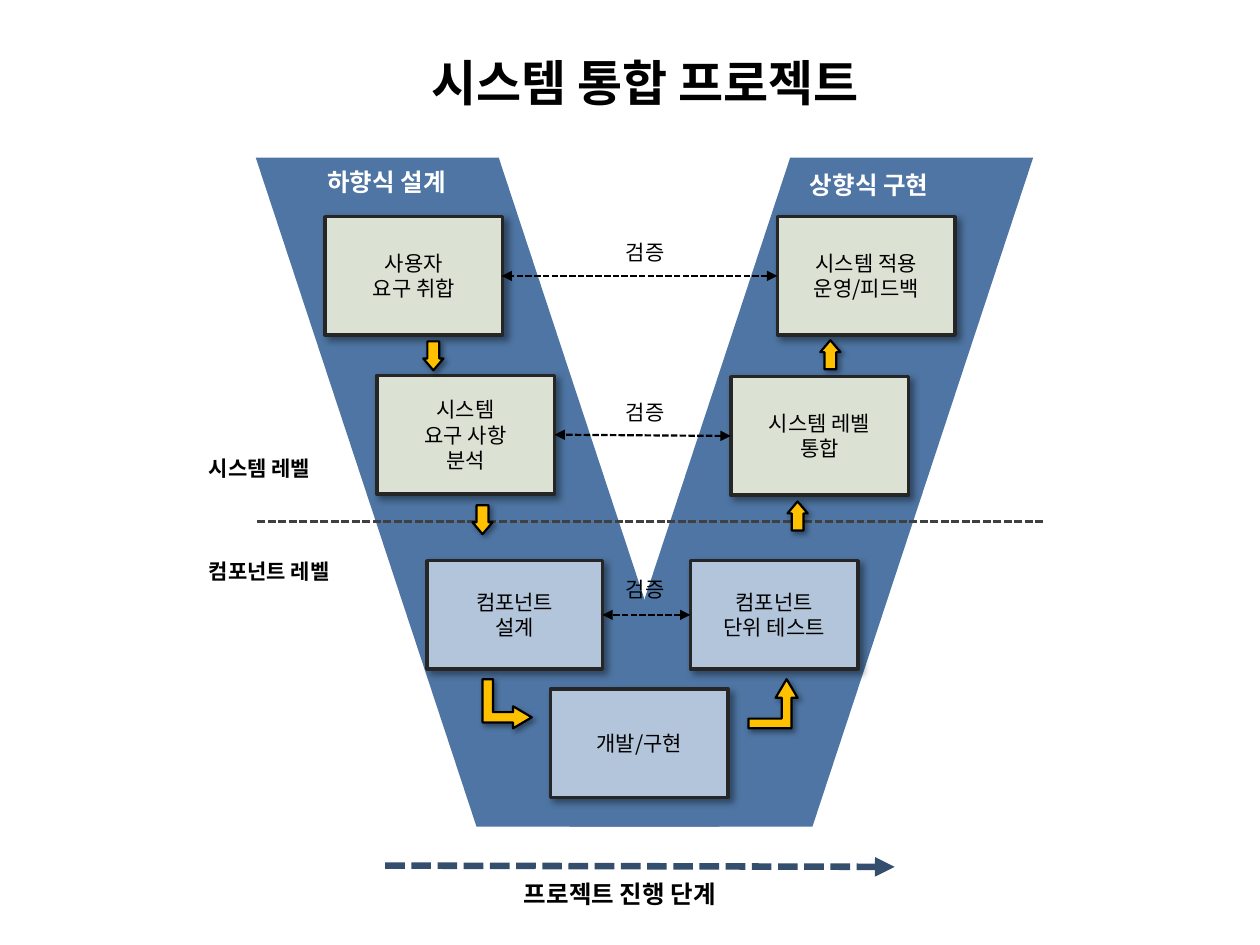
from copy import deepcopy
from dataclasses import dataclass
from typing import Optional

from lxml.etree import SubElement
from pptx import Presentation
from pptx.dml.color import RGBColor
from pptx.enum.dml import MSO_LINE
from pptx.enum.shapes import MSO_CONNECTOR, MSO_SHAPE
from pptx.enum.text import MSO_ANCHOR, MSO_AUTO_SIZE, PP_ALIGN
from pptx.oxml.ns import qn
from pptx.util import Inches, Pt


@dataclass(frozen=True)
class Theme:
    font: str = "Noto Sans CJK KR"
    ink: str = "000000"
    white: str = "FFFFFF"
    band: str = "4E75A3"
    system: str = "DBE1D3"
    component: str = "B3C5DA"
    box_edge: str = "262626"
    arrow: str = "FFC000"
    divider: str = "404040"
    timeline: str = "344E6D"
    title_size: int = 28
    heading_size: int = 14
    body_size: int = 12


@dataclass(frozen=True)
class Shadow:
    color: str
    opacity: int
    blur: int
    distance: int


@dataclass(frozen=True)
class Stage:
    text: str
    left: float
    top: float
    width: float
    height: float
    fill: str


@dataclass(frozen=True)
class FlowArrow:
    kind: MSO_SHAPE
    left: float
    top: float
    width: float
    height: float
    adjustments: tuple
    rotation: int = 0


@dataclass(frozen=True)
class Label:
    text: str
    left: float
    top: float
    width: float
    height: float
    size: int
    color: str = Theme.ink
    bold: bool = True
    align: Optional[PP_ALIGN] = None


@dataclass(frozen=True)
class Link:
    start: tuple
    end: tuple
    color: str
    width: float
    ends: tuple = ()
    shadow: Optional[Shadow] = None


THEME = Theme()
BOX_SHADOW = Shadow(THEME.ink, 40, 4, 3)
ARROW_SHADOW = Shadow(THEME.ink, 40, 3, 2)
TIMELINE_SHADOW = Shadow(THEME.white, 75, 3, 1)
STRAIGHT = (0.589, 0.589)
BOTH_ENDS = ("headEnd", "tailEnd")

STAGES = [
    Stage("사용자\n요구 취합", 2.58, 1.72, 1.41, 0.94, THEME.system),
    Stage("시스템\n요구 사항\n분석", 2.99, 2.98, 1.41, 0.94, THEME.system),
    Stage("컴포넌트\n설계", 3.39, 4.45, 1.39, 0.86, THEME.component),
    Stage("시스템 적용\n운영/피드백", 6.17, 1.72, 1.41, 0.94, THEME.system),
    Stage("시스템 레벨\n통합", 5.8, 2.99, 1.41, 0.94, THEME.system),
    Stage("컴포넌트\n단위 테스트", 5.48, 4.45, 1.33, 0.86, THEME.component),
    Stage("개발/구현", 4.37, 5.47, 1.41, 0.86, THEME.component),
]
FLOW_ARROWS = [
    FlowArrow(MSO_SHAPE.DOWN_ARROW, 3.36, 2.71, 0.16, 0.23, STRAIGHT),
    FlowArrow(MSO_SHAPE.BENT_UP_ARROW, 5.94, 5.39, 0.39, 0.39, (0.197, 0.224, 0.38)),
    FlowArrow(MSO_SHAPE.BENT_UP_ARROW, 3.83, 5.39, 0.39, 0.39, (0.21, 0.224, 0.38), 90),
    FlowArrow(MSO_SHAPE.DOWN_ARROW, 6.51, 2.7, 0.16, 0.23, STRAIGHT, 180),
    FlowArrow(MSO_SHAPE.DOWN_ARROW, 3.75, 4.01, 0.16, 0.23, STRAIGHT),
    FlowArrow(MSO_SHAPE.DOWN_ARROW, 6.25, 3.98, 0.16, 0.23, STRAIGHT, 180),
]
DIVIDER = Link((8.28, 4.14), (2.03, 4.14), THEME.divider, 1.5)
LINKS = [
    Link((6.17, 2.19), (3.98, 2.19), THEME.ink, 1.25, BOTH_ENDS),
    Link((7.1, 6.88), (3.05, 6.87), THEME.timeline, 3.75, ("headEnd",), TIMELINE_SHADOW),
    Link((5.8, 3.46), (4.4, 3.45), THEME.ink, 1.25, BOTH_ENDS),
    Link((5.48, 4.88), (4.78, 4.88), THEME.ink, 1.25, BOTH_ENDS),
]
LABELS = [
    Label("시스템 레벨", 1.56, 3.57, 1.56, 0.3, THEME.body_size),
    Label("컴포넌트 레벨", 1.56, 4.38, 1.72, 0.3, THEME.body_size),
    Label("하향식 설계", 2.5, 1.28, 1.56, 0.34, THEME.heading_size, THEME.white),
    Label("상향식 구현", 6.33, 1.3, 1.56, 0.34, THEME.heading_size, THEME.white),
    Label("프로젝트 진행 단계", 4.06, 6.93, 2.5, 0.34, THEME.heading_size),
] + [
    Label("검증", 4.61, top, 1.02, 0.3, THEME.body_size, bold=False, align=PP_ALIGN.CENTER)
    for top in (1.85, 3.12, 4.53)
]


def write_text(frame, text: str, *, size: int, color: str = THEME.ink, bold: bool = False,
               align: Optional[PP_ALIGN] = None, anchor: MSO_ANCHOR = MSO_ANCHOR.TOP,
               grow: bool = False) -> None:
    frame.word_wrap = True
    frame.vertical_anchor = anchor
    frame.auto_size = MSO_AUTO_SIZE.SHAPE_TO_FIT_TEXT if grow else MSO_AUTO_SIZE.NONE
    paragraph = frame.paragraphs[0]
    paragraph.text = text
    paragraph.alignment = align
    for run in paragraph.runs:
        run.font.name = THEME.font
        run.font.size = Pt(size)
        run.font.bold = bold
        run.font.color.rgb = RGBColor.from_string(color)
    for line_break in paragraph._p.findall(qn("a:br")):
        line_break.insert(0, deepcopy(paragraph.runs[0]._r.rPr))


def set_effects(shape, shadow: Optional[Shadow] = None) -> None:
    effects = SubElement(shape._element.spPr, qn("a:effectLst"))
    if shadow:
        outer = SubElement(effects, qn("a:outerShdw"), blurRad=str(Pt(shadow.blur)),
                           dist=str(Pt(shadow.distance)), dir=str(45 * 60000),
                           algn="tl", rotWithShape="0")
        tint = SubElement(outer, qn("a:srgbClr"), val=shadow.color)
        SubElement(tint, qn("a:alpha"), val=str(shadow.opacity * 1000))


def add_filled(shapes, kind: MSO_SHAPE, bounds: tuple, fill: str, edge: Optional[str] = None,
               edge_width: float = 0, shadow: Optional[Shadow] = None):
    shape = shapes.add_shape(kind, *map(Inches, bounds))
    shape.fill.solid()
    shape.fill.fore_color.rgb = RGBColor.from_string(fill)
    if edge:
        shape.line.color.rgb = RGBColor.from_string(edge)
        shape.line.width = Pt(edge_width)
    else:
        shape.line.fill.background()
    set_effects(shape, shadow)
    return shape


def add_v_band(slide) -> None:
    arms = slide.shapes.add_group_shape().shapes
    for left, flipped in ((4.52, False), (2.03, True)):
        arm = add_filled(arms, MSO_SHAPE.PARALLELOGRAM, (left, 1.25, 3.68, 5.31), THEME.band)
        arm.adjustments[0] = 0.476
        if flipped:
            arm._element.spPr.find(qn("a:xfrm")).set("flipH", "1")


def add_stage(slide, stage: Stage) -> None:
    box = add_filled(slide.shapes, MSO_SHAPE.RECTANGLE,
                     (stage.left, stage.top, stage.width, stage.height),
                     stage.fill, THEME.box_edge, 2, BOX_SHADOW)
    write_text(box.text_frame, stage.text, size=THEME.body_size,
               align=PP_ALIGN.CENTER, anchor=MSO_ANCHOR.MIDDLE)


def add_flow_arrow(slide, arrow: FlowArrow) -> None:
    shape = add_filled(slide.shapes, arrow.kind,
                       (arrow.left, arrow.top, arrow.width, arrow.height),
                       THEME.arrow, THEME.ink, 1.25, ARROW_SHADOW)
    for index, value in enumerate(arrow.adjustments):
        shape.adjustments[index] = value
    shape.rotation = arrow.rotation


def add_link(slide, link: Link) -> None:
    connector = slide.shapes.add_connector(
        MSO_CONNECTOR.STRAIGHT, *map(Inches, link.start + link.end))
    connector.line.color.rgb = RGBColor.from_string(link.color)
    connector.line.width = Pt(link.width)
    connector.line.dash_style = MSO_LINE.SQUARE_DOT
    for end in link.ends:
        SubElement(connector.line._get_or_add_ln(), qn(f"a:{end}"), type="triangle")
    set_effects(connector, link.shadow)


def add_label(slide, label: Label) -> None:
    box = slide.shapes.add_textbox(
        *map(Inches, (label.left, label.top, label.width, label.height)))
    write_text(box.text_frame, label.text, size=label.size, color=label.color,
               bold=label.bold, align=label.align, grow=True)


def main() -> None:
    deck = Presentation()
    deck.slide_width, deck.slide_height = Inches(10), Inches(7.5)
    slide = deck.slides.add_slide(deck.slide_layouts[5])
    title = slide.shapes.title
    title.left, title.top, title.width, title.height = map(Inches, (2.27, 0.37, 5.7, 0.57))
    write_text(title.text_frame, "시스템 통합 프로젝트", size=THEME.title_size, bold=True,
               align=PP_ALIGN.CENTER, grow=True)
    add_v_band(slide)
    for stage in STAGES:
        add_stage(slide, stage)
    add_link(slide, DIVIDER)
    for arrow in FLOW_ARROWS:
        add_flow_arrow(slide, arrow)
    for link in LINKS:
        add_link(slide, link)
    for label in LABELS:
        add_label(slide, label)
    deck.save("out.pptx")


if __name__ == "__main__":
    main()
